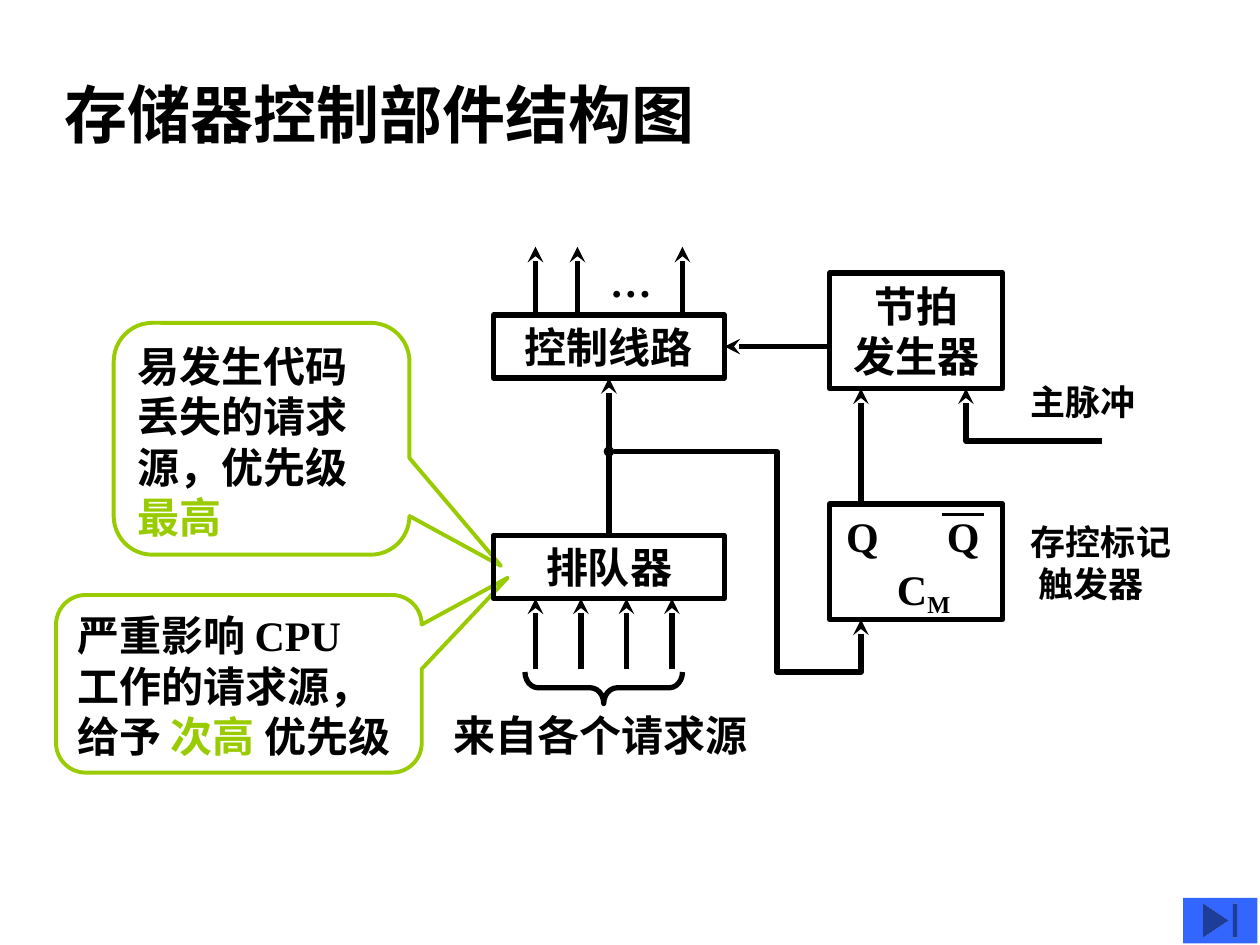
from dataclasses import dataclass

from pptx import Presentation
from pptx.dml.color import RGBColor
from pptx.enum.shapes import MSO_CONNECTOR, MSO_SHAPE
from pptx.enum.text import MSO_ANCHOR, PP_ALIGN
from pptx.oxml.ns import qn
from pptx.oxml.xmlchemy import OxmlElement
from pptx.util import Pt


@dataclass(frozen=True)
class Theme:
    ink: RGBColor = RGBColor(0x00, 0x00, 0x00)
    accent: RGBColor = RGBColor(0x99, 0xCC, 0x00)
    button: RGBColor = RGBColor(0x33, 0x66, 0xFF)
    font: str = "Times New Roman"
    title: int = 36
    body: int = 24
    label: int = 20
    wire: float = 3
    thin: float = 2.25


THEME = Theme()
TOP, LEFT, BOTTOM, RIGHT = range(4)


def write_text(shape, *lines, size=THEME.body, align=PP_ALIGN.LEFT,
               anchor=MSO_ANCHOR.TOP, wrap=False):
    frame = shape.text_frame
    frame.word_wrap = wrap
    frame.vertical_anchor = anchor
    for index, line in enumerate(lines):
        paragraph = frame.add_paragraph() if index else frame.paragraphs[0]
        paragraph.alignment = align
        pieces = [(line, {})] if isinstance(line, str) else line
        for words, style in pieces:
            run = paragraph.add_run()
            run.text = words
            run.font.name = THEME.font
            run.font.size = Pt(size)
            run.font.bold = True
            run.font.color.rgb = style.get("color", THEME.ink)
            if "baseline" in style:
                run.font._element.set("baseline", str(style["baseline"]))


def add_label(slide, box, *lines, **style):
    label = slide.shapes.add_textbox(*map(Pt, box))
    write_text(label, *lines, **style)


def outline(shape, color=THEME.ink, width=THEME.wire):
    shape.line.color.rgb = color
    shape.line.width = Pt(width)


def add_ends(shape, head=None, tail=None):
    line = shape._element.spPr.find(qn("a:ln"))
    for tag, kind in (("a:headEnd", head), ("a:tailEnd", tail)):
        if kind:
            end = OxmlElement(tag)
            end.set("type", kind)
            if kind == "oval":
                end.set("w", "sm")
                end.set("len", "sm")
            line.append(end)


def add_outlined(slide, preset, box, adjustments=(), color=THEME.ink, width=THEME.wire):
    shape = slide.shapes.add_shape(preset, *map(Pt, box))
    shape.shadow.inherit = False
    shape.fill.background()
    outline(shape, color, width)
    for index, value in enumerate(adjustments):
        shape.adjustments[index] = value
    return shape


def add_block(slide, box, *lines):
    block = add_outlined(slide, MSO_SHAPE.RECTANGLE, box)
    if lines:
        write_text(block, *lines, align=PP_ALIGN.CENTER, anchor=MSO_ANCHOR.MIDDLE)
    return block


def add_callout(slide, box, adjustments, *lines, wrap):
    callout = add_outlined(slide, MSO_SHAPE.ROUNDED_RECTANGULAR_CALLOUT, box,
                           adjustments, THEME.accent, THEME.thin)
    write_text(callout, *lines, wrap=wrap)


def add_wire(slide, start, end, width=THEME.wire, tail="stealth", source=None, target=None):
    wire = slide.shapes.add_connector(MSO_CONNECTOR.STRAIGHT, *map(Pt, (*start, *end)))
    wire._element.spPr.append(OxmlElement("a:effectLst"))
    if source:
        wire.begin_connect(*source)
    if target:
        wire.end_connect(*target)
    outline(wire, width=width)
    add_ends(wire, tail=tail)


def add_bent_wire(slide, points, head=None, tail=None):
    start, *corners = [(Pt(x), Pt(y)) for x, y in points]
    builder = slide.shapes.build_freeform(*start)
    builder.add_line_segments(corners, close=False)
    wire = builder.convert_to_shape()
    wire.shadow.inherit = False
    wire.fill.background()
    outline(wire)
    add_ends(wire, head, tail)


def add_end_button(slide, box):
    button = slide.shapes.add_shape(MSO_SHAPE.ACTION_BUTTON_END, *map(Pt, box))
    button.shadow.inherit = False
    button.fill.solid()
    button.fill.fore_color.rgb = THEME.button
    button.line.fill.background()


def add_notes_on_priority(slide):
    add_callout(slide, (65, 184.5, 169, 132.5), (0.809, 0.548, 0.167),
                "易发生代码", "丢失的请求源，优先级",
                [("最高", {"color": THEME.accent})], wrap=True)
    add_callout(slide, (32, 340, 209, 101.5), (0.735, -0.597, 0.167),
                "严重影响 CPU", "工作的请求源，",
                [("给予 ", {}), ("次高 ", {"color": THEME.accent}), ("优先级", {})],
                wrap=False)


def add_request_path(slide):
    control = add_block(slide, (282, 180, 132, 36), "控制线路")
    queue = add_block(slide, (282, 306, 132, 36), "排队器")
    add_wire(slide, (348, 306), (348, 216), source=(queue, TOP), target=(control, BOTTOM))
    add_wire(slide, (474, 198), (414, 198), target=(control, RIGHT))
    for x in (306, 330, 390):
        add_wire(slide, (x, 180), (x, 141))
    for request in range(4):
        x = 306 + 26 * request
        add_wire(slide, (x, 382.5), (x, 342))
    brace = add_outlined(slide, MSO_SHAPE.LEFT_BRACE, (336, 348, 18, 90), (0.42, 0.5))
    brace.rotation = 270
    add_label(slide, (334, 142.5, 53, 36), "…", align=PP_ALIGN.CENTER)
    add_label(slide, (252, 402, 190, 36), "来自各个请求源")


def add_timing_path(slide):
    add_block(slide, (474, 156, 99, 66), "节拍", "发生器")
    add_block(slide, (474, 288, 99, 66))
    for x in (476.5, 534):
        add_label(slide, (x, 288, 36, 36), "Q")
    add_wire(slide, (538.5, 294), (562.5, 294), width=THEME.thin, tail=None)
    add_label(slide, (505.5, 318.5, 56, 38.5), [("C", {}), ("M", {"baseline": -20000})])
    add_wire(slide, (492, 288), (492, 222))
    add_bent_wire(slide, [(630, 252), (552, 252), (552, 222)], tail="stealth")
    add_bent_wire(slide, [(492, 354), (492, 384), (444, 384), (444, 258), (348, 258)],
                  head="stealth", tail="oval")
    add_label(slide, (582, 214, 84, 31), "主脉冲", size=THEME.label)
    add_label(slide, (582, 294, 130, 55), "存控标记", " 触发器", size=THEME.label, wrap=True)


def main():
    deck = Presentation()
    deck.slide_width, deck.slide_height = Pt(720), Pt(540)
    slide = deck.slides.add_slide(deck.slide_layouts[6])
    add_label(slide, (30, 39.5, 594, 50), "存储器控制部件结构图", size=THEME.title, wrap=True)
    add_notes_on_priority(slide)
    add_request_path(slide)
    add_timing_path(slide)
    add_end_button(slide, (676, 513, 42.5, 26))
    deck.save("out.pptx")


if __name__ == "__main__":
    main()
